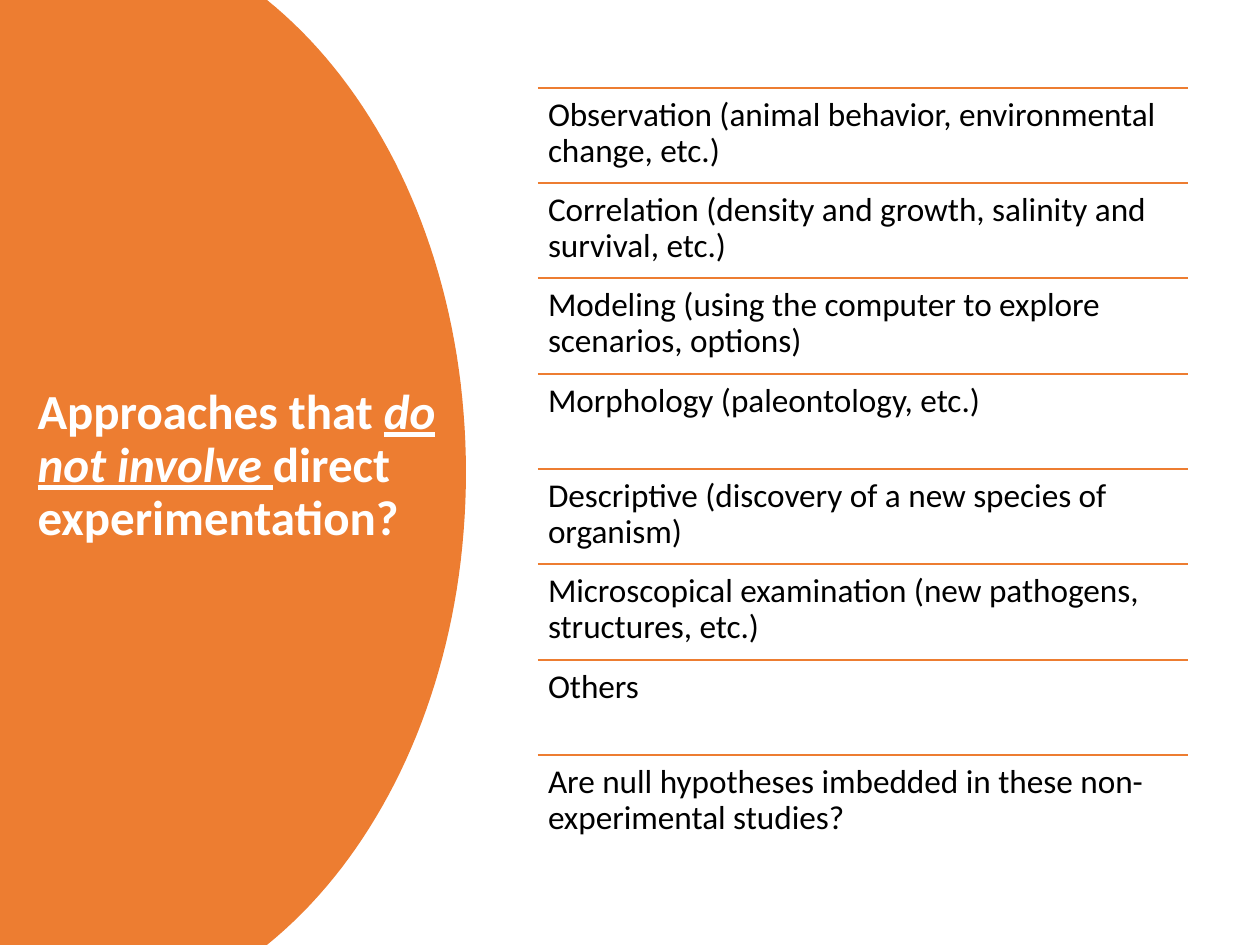
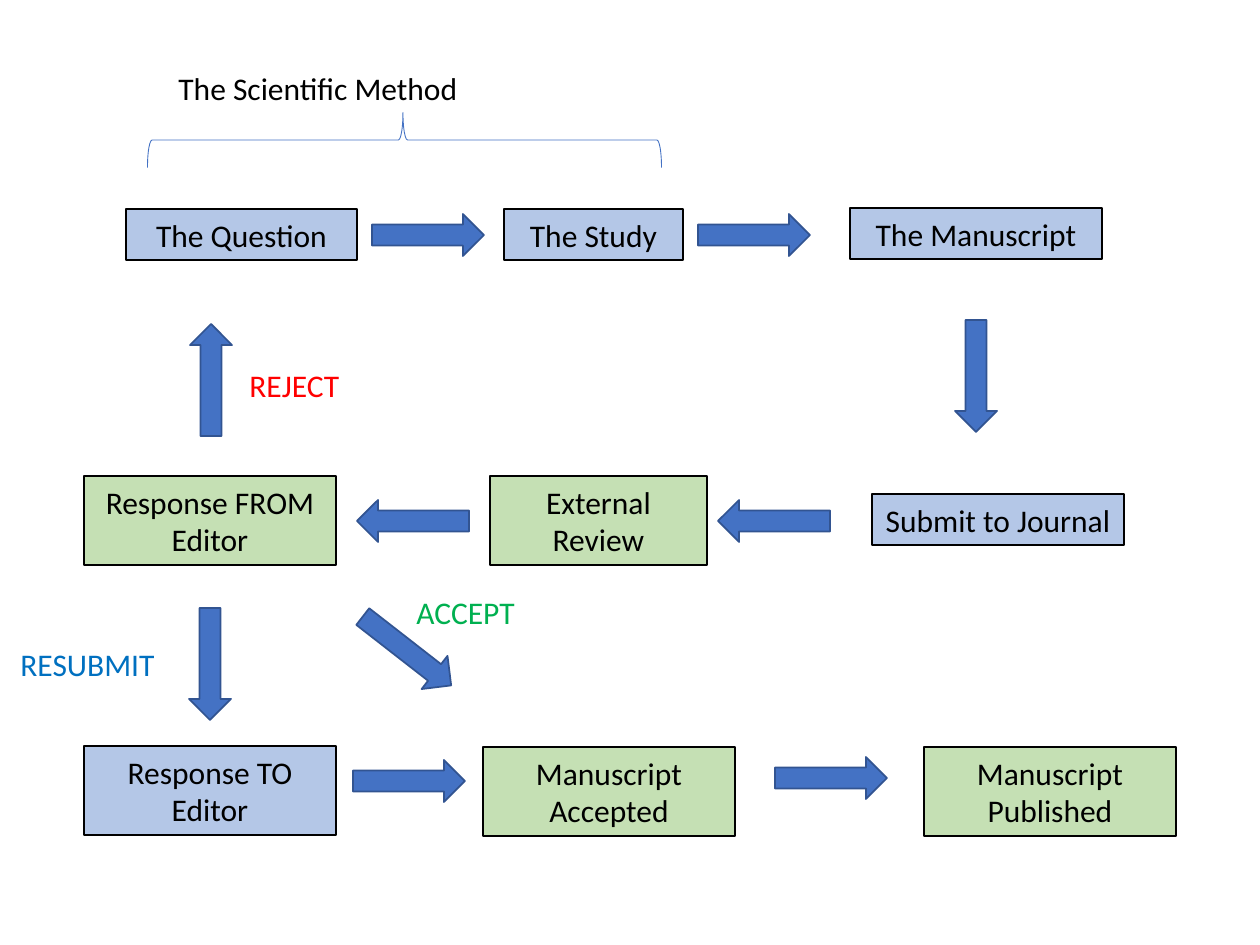
import typing

import lxml.etree
import pptx
import pptx.dml.color
import pptx.enum.shapes
import pptx.enum.text
import pptx.oxml.ns
import pptx.util

RGB = pptx.dml.color.RGBColor
PRESET = pptx.enum.shapes.MSO_SHAPE
ALIGN = pptx.enum.text.PP_ALIGN
ANCHOR = pptx.enum.text.MSO_ANCHOR

BLACK = RGB(0x00, 0x00, 0x00)
WHITE = RGB(0xFF, 0xFF, 0xFF)
ORANGE = RGB(0xED, 0x7D, 0x31)
BLUE = RGB(0x44, 0x72, 0xC4)
DARK_BLUE = RGB(0x32, 0x54, 0x91)
AUTHOR_BLUE = RGB(0xB4, 0xC7, 0xE7)
JOURNAL_GREEN = RGB(0xC5, 0xE0, 0xB4)
REJECT_RED = RGB(0xFF, 0x00, 0x00)
RESUBMIT_BLUE = RGB(0x00, 0x70, 0xC0)
ACCEPT_GREEN = RGB(0x00, 0xB0, 0x50)

FONT = "Calibri"
EMU_PER_PX = 914400 / 126


class Box(typing.NamedTuple):
    """A rectangle in px."""

    left: int
    top: int
    width: int
    height: int

    def inside(self, left, top, width, height):
        """Return a box placed relative to this one."""
        return Box(self.left + left, self.top + top, width, height)

    def emu(self):
        """Return the four lengths in EMU."""
        return [px(length) for length in self]


PAGE = Box(0, 0, 1260, 945)

APPROACHES = [
    "Observation (animal behavior, environmental change, etc.)",
    "Correlation (density and growth, salinity and survival, etc.)",
    "Modeling (using the computer to explore scenarios, options)",
    "Morphology (paleontology, etc.)",
    "Descriptive (discovery of a new species of organism)",
    "Microscopical examination (new pathogens, structures, etc.)",
    "Others",
    "Are null hypotheses imbedded in these non-experimental studies?",
]

STEPS = [
    ("The Study", (504, 209, 179, 51), AUTHOR_BLUE),
    ("The Question", (126, 209, 231, 51), AUTHOR_BLUE),
    ("The Manuscript", (850, 208, 252, 51), AUTHOR_BLUE),
    ("Submit to Journal", (872, 494, 252, 51), AUTHOR_BLUE),
    ("External Review", (490, 476, 217, 89), JOURNAL_GREEN),
    ("Response FROM Editor", (84, 476, 252, 89), JOURNAL_GREEN),
    ("Response TO Editor", (84, 746, 252, 89), AUTHOR_BLUE),
    ("Manuscript\nAccepted", (483, 747, 252, 89), JOURNAL_GREEN),
    ("Manuscript\nPublished", (924, 747, 252, 89), JOURNAL_GREEN),
]

DOWN, LEFT, UP, RIGHT, DOWN_RIGHT = 0, 90, 180, 270, 307.9
ARROWS = [
    (428, 235, RIGHT),
    (754, 235, RIGHT),
    (976, 376, DOWN),
    (774, 521, LEFT),
    (413, 521, LEFT),
    (210, 664, DOWN),
    (409, 781, RIGHT),
    (831, 778, RIGHT),
    (211, 380, UP),
    (407, 651, DOWN_RIGHT),
]

LABELS = [
    ("REJECT", (237, 360, 238, 51), REJECT_RED),
    ("RESUBMIT", (8, 639, 238, 51), RESUBMIT_BLUE),
    ("ACCEPT", (404, 587, 238, 51), ACCEPT_GREEN),
    ("The Scientific Method", (166, 63, 309, 51), BLACK),
]


def px(length):
    """Turn px into EMU."""
    return round(length * EMU_PER_PX)


def add_span(para, text, size=18, color=BLACK, bold=False, italic=False, underline=False):
    """Add one formatted run to a paragraph."""
    span = para.add_run()
    span.text = text
    font = span.font
    font.name, font.size, font.color.rgb = FONT, pptx.util.Pt(size), color
    font.bold, font.italic, font.underline = bold, italic, underline


def write_text(frame, text, align=ALIGN.LEFT, spacing=None, **style):
    """Write one paragraph per line of text into a wrapped frame."""
    frame.word_wrap = True
    for index, line in enumerate(text.split("\n")):
        para = frame.add_paragraph() if index else frame.paragraphs[0]
        para.alignment, para.line_spacing = align, spacing
        add_span(para, line, **style)


def add_preset(shapes, kind, box, fill, outline, weight):
    """Add a flat preset shape with the given fill and outline."""
    shape = shapes.add_shape(kind, *box.emu())
    shape.shadow.inherit = False
    if fill is None:
        shape.fill.background()
    else:
        shape.fill.solid()
        shape.fill.fore_color.rgb = fill
    shape.line.color.rgb = outline
    shape.line.width = pptx.util.Pt(weight)
    return shape


def add_rule(shapes, box):
    """Draw a thin orange line along the top of a box."""
    left, top, width, _ = box.emu()
    rule = shapes.add_connector(
        pptx.enum.shapes.MSO_CONNECTOR.STRAIGHT, left, top, left + width, top
    )
    rule.line.color.rgb = ORANGE
    rule.line.width = pptx.util.Pt(1)
    lxml.etree.SubElement(rule.element.spPr, pptx.oxml.ns.qn("a:effectLst"))


def curve_points(start, first, second, end, steps=40):
    """Sample a cubic curve between two points."""
    points = []
    for step in range(steps + 1):
        t = step / steps
        weights = ((1 - t) ** 3, 3 * t * (1 - t) ** 2, 3 * t * t * (1 - t), t**3)
        points.append(
            tuple(sum(w * p for w, p in zip(weights, axis)) for axis in zip(start, first, second, end))
        )
    return points


def add_orange_bulge(page, box):
    """Fill the box with an orange panel whose right side bulges outward."""
    width, height = box.width, box.height
    upper = curve_points((267, 0), (387, 97), (width, 272), (width, height / 2))
    lower = [(x, height - y) for x, y in reversed(upper)]
    outline = [
        (px(box.left + x), px(box.top + y)) for x, y in [*upper, *lower[1:], (0, height)]
    ]
    builder = page.shapes.build_freeform(px(box.left), px(box.top), scale=1.0)
    builder.add_line_segments(outline, close=True)
    panel = builder.convert_to_shape()
    panel.shadow.inherit = False
    panel.fill.solid()
    panel.fill.fore_color.rgb = ORANGE
    panel.line.fill.background()
    page.shapes.element.insert(2, panel.element)


def format_title(title, box):
    """Place the title and write its emphasised question."""
    title.left, title.top, title.width, title.height = box.emu()
    frame = title.text_frame
    frame.word_wrap = True
    frame.auto_size = pptx.enum.text.MSO_AUTO_SIZE.NONE
    frame.vertical_anchor = ANCHOR.MIDDLE
    para = frame.paragraphs[0]
    para.alignment, para.line_spacing = ALIGN.LEFT, 0.9
    para.space_after = pptx.util.Pt(6)
    for text, italic, underline in [
        ("Approaches that ", False, False),
        ("do not involve", True, True),
        (" ", False, True),
        ("direct experimentation?", False, False),
    ]:
        add_span(para, text, size=28, color=WHITE, bold=True, italic=italic, underline=underline)


def add_ruled_list(page, box, items):
    """Stack the items in equal rows, each under a rule."""
    shapes = page.shapes.add_group_shape().shapes
    pitch = box.height / len(items)
    for index, item in enumerate(items):
        row = box.inside(0, round(index * pitch), box.width, round(pitch))
        add_rule(shapes, row)
        frame = shapes.add_textbox(*row.emu()).text_frame
        frame.margin_left = frame.margin_right = px(10)
        frame.margin_top = frame.margin_bottom = px(10)
        write_text(frame, item, spacing=0.9, size=19)


def add_step(page, box, text, fill):
    """Add an outlined step of the publishing process."""
    step = add_preset(page.shapes, PRESET.RECTANGLE, box, fill, BLACK, 1.5)
    step.text_frame.vertical_anchor = ANCHOR.MIDDLE
    write_text(step.text_frame, text, align=ALIGN.CENTER)


def add_block_arrow(page, box, rotation):
    """Add a blue block arrow turned to its direction."""
    arrow = add_preset(page.shapes, PRESET.DOWN_ARROW, box, BLUE, DARK_BLUE, 1)
    arrow.rotation = rotation


def add_method_brace(page, box):
    """Add the brace that spans the scientific method."""
    brace = add_preset(page.shapes, PRESET.LEFT_BRACE, box, None, BLUE, 0.5)
    brace.rotation = 90
    brace.adjustments[0] = 0.083
    brace.adjustments[1] = 0.503


def build_approaches(deck, box):
    """Build the slide on approaches without experiments."""
    page = deck.slides.add_slide(deck.slide_layouts[5])
    add_orange_bulge(page, box.inside(0, 0, 466, box.height))
    format_title(page.shapes.title, box.inside(25, 83, 466, 767))
    add_ruled_list(page, box.inside(538, 88, 650, 762), APPROACHES)


def build_publishing_flow(deck, box):
    """Build the flow from question to published manuscript."""
    page = deck.slides.add_slide(deck.slide_layouts[6])
    for text, place, fill in STEPS:
        add_step(page, box.inside(*place), text, fill)
    width, length = 42, 112
    for center_x, center_y, rotation in ARROWS:
        place = box.inside(center_x - width // 2, center_y - length // 2, width, length)
        add_block_arrow(page, place, rotation)
    add_method_brace(page, box.inside(377, -117, 55, 514))
    for text, place, color in LABELS:
        frame = page.shapes.add_textbox(*box.inside(*place).emu()).text_frame
        write_text(frame, text, color=color)


def main():
    """Build and save the deck."""
    deck = pptx.Presentation()
    deck.slide_width, deck.slide_height = px(PAGE.width), px(PAGE.height)
    build_approaches(deck, PAGE)
    build_publishing_flow(deck, PAGE)
    deck.save("out.pptx")


if __name__ == "__main__":
    main()
